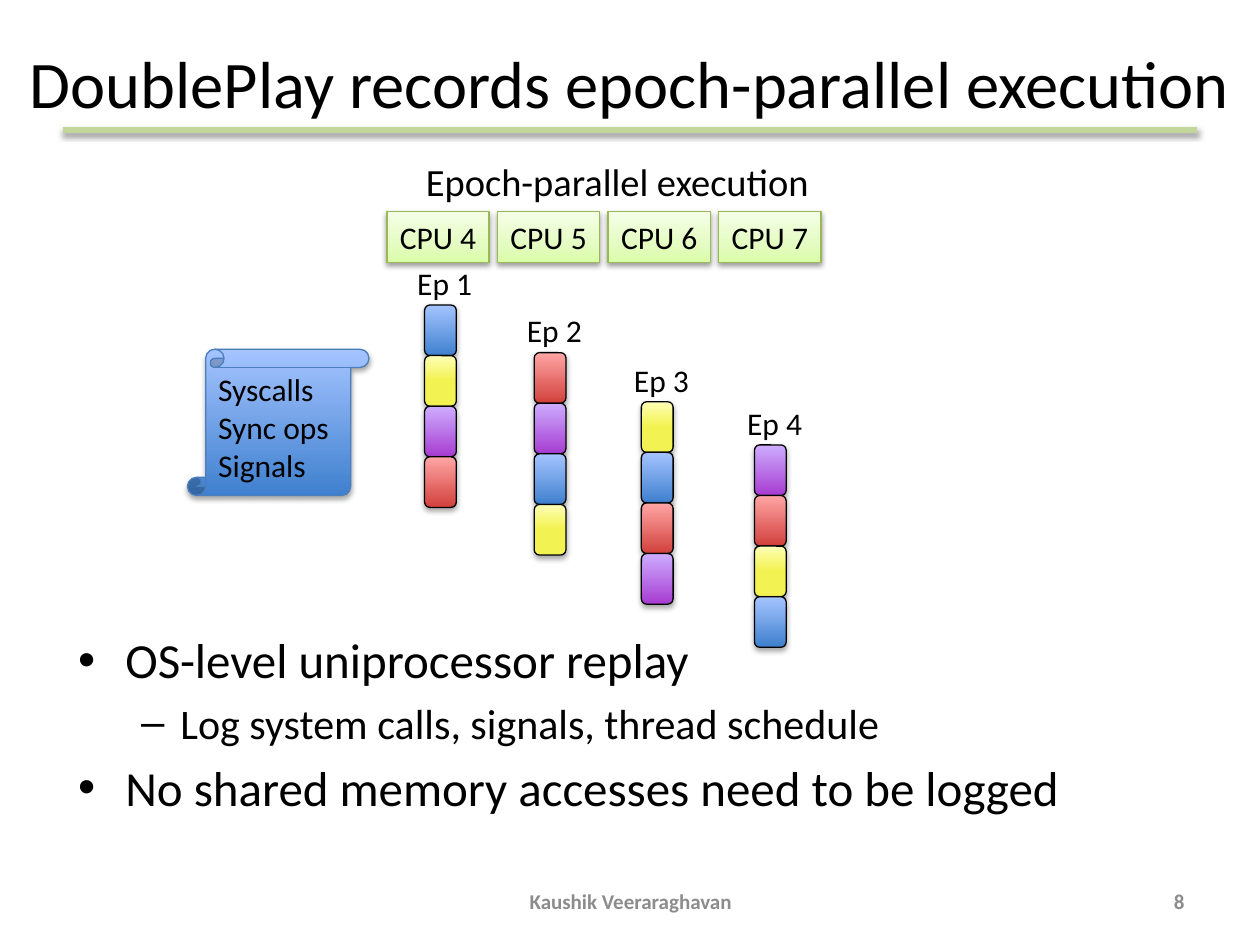
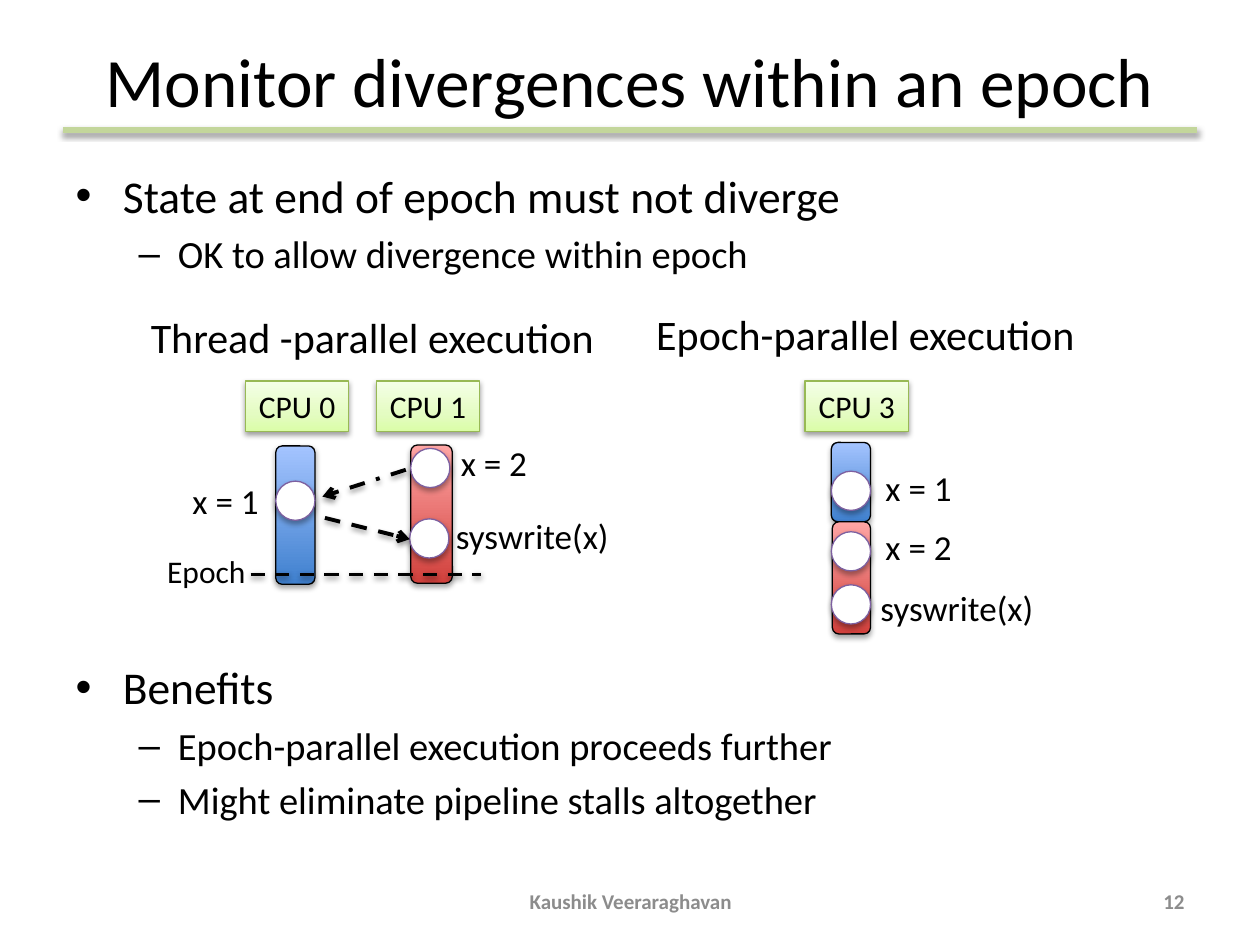
from copy import deepcopy

from lxml import etree
from pptx import Presentation
from pptx.dml.color import RGBColor
from pptx.enum.dml import MSO_LINE
from pptx.enum.shapes import MSO_CONNECTOR, MSO_SHAPE
from pptx.enum.text import MSO_ANCHOR, MSO_AUTO_SIZE, PP_ALIGN
from pptx.oxml.ns import qn
from pptx.util import Cm, Pt

LEFT, CENTER, RIGHT = PP_ALIGN.LEFT, PP_ALIGN.CENTER, PP_ALIGN.RIGHT
MIDDLE, NO_AUTOFIT = MSO_ANCHOR.MIDDLE, MSO_AUTO_SIZE.NONE
RECT, ROUNDED = MSO_SHAPE.RECTANGLE, MSO_SHAPE.ROUNDED_RECTANGLE
OVAL, SCROLL = MSO_SHAPE.OVAL, MSO_SHAPE.VERTICAL_SCROLL
STRAIGHT = MSO_CONNECTOR.STRAIGHT
DASH, DASH_DOT = MSO_LINE.DASH, MSO_LINE.DASH_DOT

FONT = "Calibri"
BLACK = RGBColor(0x00, 0x00, 0x00)
WHITE = RGBColor(0xFF, 0xFF, 0xFF)
GREY = RGBColor(0x8C, 0x8C, 0x8C)
RULE_GREEN = RGBColor(0xC3, 0xD6, 0x9B)
CPU_EDGE = RGBColor(0x98, 0xB9, 0x55)
SCROLL_EDGE = RGBColor(0x4B, 0x7E, 0xBC)
EVENT_EDGE = RGBColor(0x7D, 0x60, 0xA0)

# Gradients run from bottom to top: (position, colour)
BLUE = [(0, RGBColor(0x3F, 0x80, 0xCE)), (1, RGBColor(0xA4, 0xC4, 0xFF))]
RED = [(0, RGBColor(0xD1, 0x40, 0x3C)), (1, RGBColor(0xFF, 0xA6, 0xA5))]
PURPLE = [(0, RGBColor(0xA7, 0x3C, 0xD1)), (1, RGBColor(0xCD, 0xAD, 0xFF))]
YELLOW = [(0.52, RGBColor(0xF3, 0xF2, 0x53)), (1, RGBColor(0xFE, 0xFF, 0xB7))]
CPU_GREEN = [(0, RGBColor(0xDA, 0xFD, 0xA7)), (0.35, RGBColor(0xE4, 0xFC, 0xC2)),
             (1, RGBColor(0xF5, 0xFF, 0xE7))]

LINE_H = 1.02
EVENT_SIZE = 0.79


def cm_box(box):
    return [Cm(value) for value in box]


def add_shadow(shape, alpha, distance):
    effects = etree.SubElement(shape._element.spPr, qn("a:effectLst"))
    outer = etree.SubElement(effects, qn("a:outerShdw"), blurRad="40000", dist=str(distance),
                             dir="5400000", rotWithShape="0")
    black = etree.SubElement(outer, qn("a:srgbClr"), val="000000")
    etree.SubElement(black, qn("a:alpha"), val=str(alpha * 1000))


def fill_gradient(shape, stops):
    shape.fill.gradient()
    shape.fill.gradient_angle = 90
    stop_list = shape._element.spPr.find(".//" + qn("a:gsLst"))
    while len(stop_list) < len(stops):
        stop_list.append(deepcopy(stop_list[0]))
    for stop, (position, color) in zip(shape.fill.gradient_stops, stops):
        stop.position = position
        stop.color.rgb = color


class Deck:
    """Holds the presentation, the current slide and the shared style."""

    def __init__(self):
        self.prs = Presentation()
        self.prs.slide_width, self.prs.slide_height = Cm(25.4), Cm(19.05)
        self.slide = None

    def new_slide(self, title, title_box, title_size, number):
        self.slide = self.prs.slides.add_slide(self.prs.slide_layouts[1])
        self.line((1.27, 2.62), (24.13, 2.62), 3.5, RULE_GREEN)
        heading = self.slide.shapes.title
        self.place(heading, title_box)
        heading.text_frame.vertical_anchor = MIDDLE
        self.add_text(heading.text_frame.paragraphs[0], title, title_size, CENTER)
        self.label("Kaushik Veeraraghavan", (8.69, 17.65, 8.05, LINE_H), 12, CENTER, GREY, True)
        self.label(number, (18.21, 17.65, 5.92, LINE_H), 12, RIGHT, GREY, True)

    def place(self, placeholder, box):
        (placeholder.left, placeholder.top,
         placeholder.width, placeholder.height) = cm_box(box)
        placeholder.text_frame.auto_size = NO_AUTOFIT

    def add_text(self, paragraph, text, size, align=None, color=BLACK, bold=False):
        paragraph.alignment = align
        run = paragraph.add_run()
        run.text = text
        run.font.name, run.font.size, run.font.bold = FONT, Pt(size), bold
        run.font.color.rgb = color

    def bullets(self, box, items, sizes):
        """Fill the body with (level, text, space before in cm or None)."""
        body = self.slide.placeholders[1]
        self.place(body, box)
        frame = body.text_frame
        for index, (level, text, gap) in enumerate(items):
            paragraph = frame.add_paragraph() if index else frame.paragraphs[0]
            paragraph.level = level
            if gap:
                paragraph.space_before = Cm(gap)
            self.add_text(paragraph, text, sizes[level])

    def label(self, text, box, size=18, align=LEFT, color=BLACK, bold=False):
        frame = self.slide.shapes.add_textbox(*cm_box(box)).text_frame
        frame.word_wrap = bold
        frame.vertical_anchor = MIDDLE
        self.add_text(frame.paragraphs[0], text, size, align, color, bold)

    def shape(self, preset, box, stops=None, edge=BLACK, shadow=(35, 23000)):
        """Add a shape with a gradient, or white when no stops are given."""
        shape = self.slide.shapes.add_shape(preset, *cm_box(box))
        if stops:
            fill_gradient(shape, stops)
        else:
            shape.fill.solid()
            shape.fill.fore_color.rgb = WHITE
        shape.line.color.rgb = edge
        shape.line.width = Pt(0.75)
        add_shadow(shape, *shadow)
        return shape

    def cpu(self, number, left, top, width=2.06):
        box = self.shape(RECT, (left, top, width, LINE_H), CPU_GREEN, CPU_EDGE, (38, 20000))
        box.text_frame.word_wrap = False
        self.add_text(box.text_frame.paragraphs[0], f"CPU {number}", 18, CENTER)

    def event(self, left, top):
        self.shape(OVAL, (left, top, EVENT_SIZE, EVENT_SIZE), edge=EVENT_EDGE)

    def scroll(self, box, lines):
        frame = self.shape(SCROLL, box, BLUE, SCROLL_EDGE).text_frame
        frame.vertical_anchor = MIDDLE
        for index, text in enumerate(lines):
            paragraph = frame.add_paragraph() if index else frame.paragraphs[0]
            self.add_text(paragraph, text, 18, LEFT)

    def line(self, start, end, width, color=BLACK, dash=None, arrow=False):
        line = self.slide.shapes.add_connector(STRAIGHT, *cm_box(start + end))
        line.line.color.rgb = color
        line.line.width = Pt(width)
        if dash:
            line.line.dash_style = dash
        if arrow:
            etree.SubElement(line._element.spPr.find(qn("a:ln")), qn("a:tailEnd"), type="arrow")
        add_shadow(line, 38, 20000)


def add_recording_slide(deck):
    deck.new_slide("DoublePlay records epoch-parallel execution",
                   (-0.3, 0.76, 26, 1.8), 38, "8")
    deck.bullets((1.32, 12.57, 22.86, 4.37), [
        (0, "OS-level uniprocessor replay", None),
        (1, "Log system calls, signals, thread schedule", None),
        (0, "No shared memory accesses need to be logged", None),
    ], (28, 24))

    epochs = [
        (8.56, 6.15, (BLUE, YELLOW, PURPLE, RED)),
        (10.77, 7.11, (RED, PURPLE, BLUE, YELLOW)),
        (12.93, 8.1, (YELLOW, BLUE, RED, PURPLE)),
        (15.21, 8.97, (PURPLE, RED, YELLOW, BLUE)),
    ]
    for index, (left, top, threads) in enumerate(epochs):
        deck.cpu(index + 4, 7.8 + index * 2.23, 4.27)
        deck.label(f"Ep {index + 1}", (left - 0.41, top - 0.96, 1.63, LINE_H), align=CENTER)
        for row, thread in enumerate(threads):
            deck.shape(ROUNDED, (left, top + row * 1.02, 0.64, 1.02), thread)

    deck.label("Epoch-parallel execution", (8.28, 3.05, 8.33, 1.19), 22, CENTER)
    deck.scroll((3.78, 7.04, 3.66, 2.95), ("Syscalls", "Sync ops", "Signals"))


def add_divergence_slide(deck):
    deck.new_slide("Monitor divergences within an epoch",
                   (1.27, 0.76, 22.86, 1.68), 39.6, "12")
    deck.bullets((1.27, 3.25, 22.86, 13.77), [
        (0, "State at end of epoch must not diverge", None),
        (1, "OK to allow divergence within epoch", None),
        (0, "Benefits", 7.73),
        (1, "Epoch-parallel execution proceeds further", None),
        (1, "Might eliminate pipeline stalls altogether", None),
    ], (26, 22))

    deck.label("Thread -parallel execution", (2.79, 6.15, 9.53, 1.27), 24)
    deck.label("Epoch-parallel execution", (12.98, 6.1, 9.04, 1.27), 24)
    for number, left in ((0, 4.95), (1, 7.59), (3, 16.23)):
        deck.cpu(number, left, 7.68, 2.08)

    threads = [
        (5.56, 8.99, 0.79, 2.79, BLUE),
        (8.28, 8.97, 0.84, 2.79, RED),
        (16.76, 8.92, 0.79, 1.6, BLUE),
        (16.78, 10.52, 0.77, 2.26, RED),
    ]
    for *box, color in threads:
        deck.shape(ROUNDED, box, color)

    events = [
        ("x = 1", 5.56, 9.7, 3.63, 9.53),
        ("x = 2", 8.28, 9.04, 9.04, 8.76),
        ("syswrite(x)", 8.26, 10.46, 8.94, 10.24),
        ("x = 1", 16.76, 9.5, 17.6, 9.27),
        ("x = 2", 16.76, 10.72, 17.6, 10.46),
        ("syswrite(x)", 16.76, 11.79, 17.5, 11.68),
    ]
    for text, left, top, label_left, label_top in events:
        deck.event(left, top)
        label_width = 1.88 if text.startswith("x") else 3.61
        deck.label(text, (label_left, label_top, label_width, 1.12), 20)

    deck.label("Epoch", (3.12, 11, 2.11, LINE_H))
    deck.line((8.18, 9.47), (6.5, 10.01), 2.25, dash=DASH_DOT, arrow=True)
    deck.line((6.55, 10.44), (8.26, 10.87), 2.25, dash=DASH, arrow=True)
    deck.line((5.05, 11.58), (9.7, 11.58), 2, dash=DASH)


def main():
    deck = Deck()
    add_recording_slide(deck)
    add_divergence_slide(deck)
    deck.prs.save("out.pptx")


if __name__ == "__main__":
    main()
